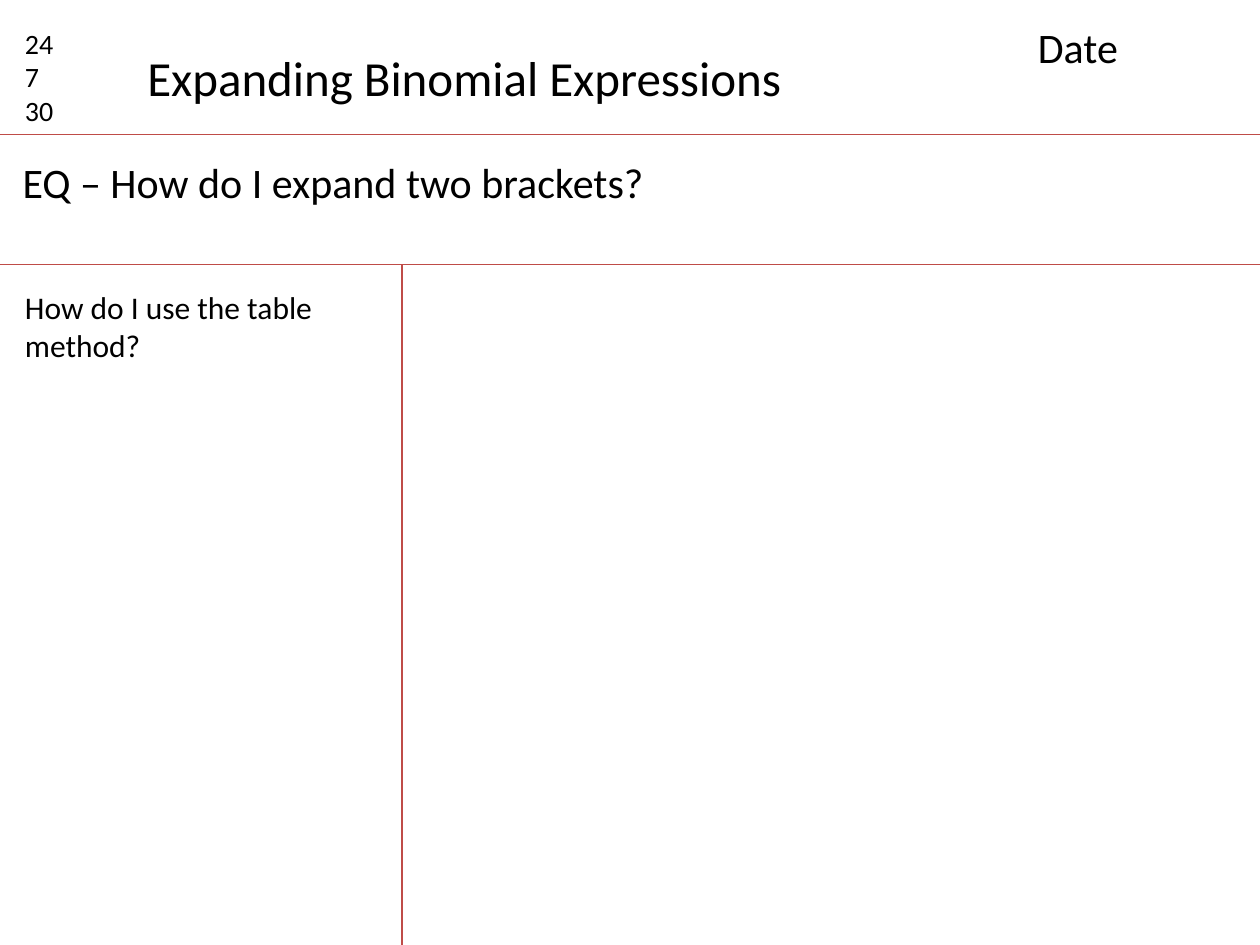
import pptx
import pptx.dml.color
import pptx.enum.shapes
import pptx.enum.text
import pptx.oxml.ns
import pptx.util
from lxml import etree

BLACK = pptx.dml.color.RGBColor(0x00, 0x00, 0x00)
RULE_RED = pptx.dml.color.RGBColor(0xBF, 0x4C, 0x48)

PAGE_WIDTH = 720
PAGE_HEIGHT = 540
HEADER_BOTTOM = 77
QUESTION_BOTTOM = 151.2
MARGIN_RULE_LEFT = 229.7
MARGIN_RULE_END = 553.7


class NotesPage:
    font_name = "Calibri"
    rule_width = 0.75

    def __init__(self, deck):
        self.page = deck.slides.add_slide(deck.slide_layouts[5])

    def rule(self, left, top, right, bottom):
        line = self.page.shapes.add_connector(
            pptx.enum.shapes.MSO_CONNECTOR.STRAIGHT,
            *map(pptx.util.Pt, (left, top, right, bottom)))
        line.line.color.rgb = RULE_RED
        line.line.width = pptx.util.Pt(self.rule_width)
        etree.SubElement(line._element.spPr, pptx.oxml.ns.qn("a:effectLst"))

    def fill_text(self, box, lines, size, wrap=True):
        frame = box.text_frame
        frame.word_wrap = wrap
        frame.auto_size = pptx.enum.text.MSO_AUTO_SIZE.SHAPE_TO_FIT_TEXT
        frame.vertical_anchor = pptx.enum.text.MSO_ANCHOR.TOP
        for index, line in enumerate(lines):
            para = frame.add_paragraph() if index else frame.paragraphs[0]
            para.alignment = pptx.enum.text.PP_ALIGN.LEFT
            span = para.add_run()
            span.text = line
            span.font.name = self.font_name
            span.font.size = pptx.util.Pt(size)
            span.font.color.rgb = BLACK

    def title(self, left, top, width, height, text, size):
        box = self.page.shapes.title
        box.left, box.top, box.width, box.height = map(
            pptx.util.Pt, (left, top, width, height))
        self.fill_text(box, [text], size, wrap=False)

    def text(self, left, top, width, height, lines, size):
        box = self.page.shapes.add_textbox(
            *map(pptx.util.Pt, (left, top, width, height)))
        self.fill_text(box, lines, size)


def main():
    deck = pptx.Presentation()
    deck.slide_width = pptx.util.Pt(PAGE_WIDTH)
    deck.slide_height = pptx.util.Pt(PAGE_HEIGHT)

    notes = NotesPage(deck)
    for top in (HEADER_BOTTOM, QUESTION_BOTTOM):
        notes.rule(0, top, PAGE_WIDTH, top)
    notes.rule(MARGIN_RULE_LEFT, QUESTION_BOTTOM, MARGIN_RULE_LEFT, MARGIN_RULE_END)

    notes.text(7.2, 11.5, 45.4, 65.5, ["24", "7", "30"], 16)
    notes.text(586, 8.6, 124.6, 36, ["Date"], 24)
    notes.title(77, 23.8, 381, 41, "Expanding Binomial Expressions", 28)
    notes.text(5.8, 85.7, 640.8, 36, ["EQ – How do I expand two brackets?"], 24)
    notes.text(7.2, 161.3, 211, 51, ["How do I use the table method?"], 18)

    deck.save("out.pptx")


if __name__ == "__main__":
    main()
